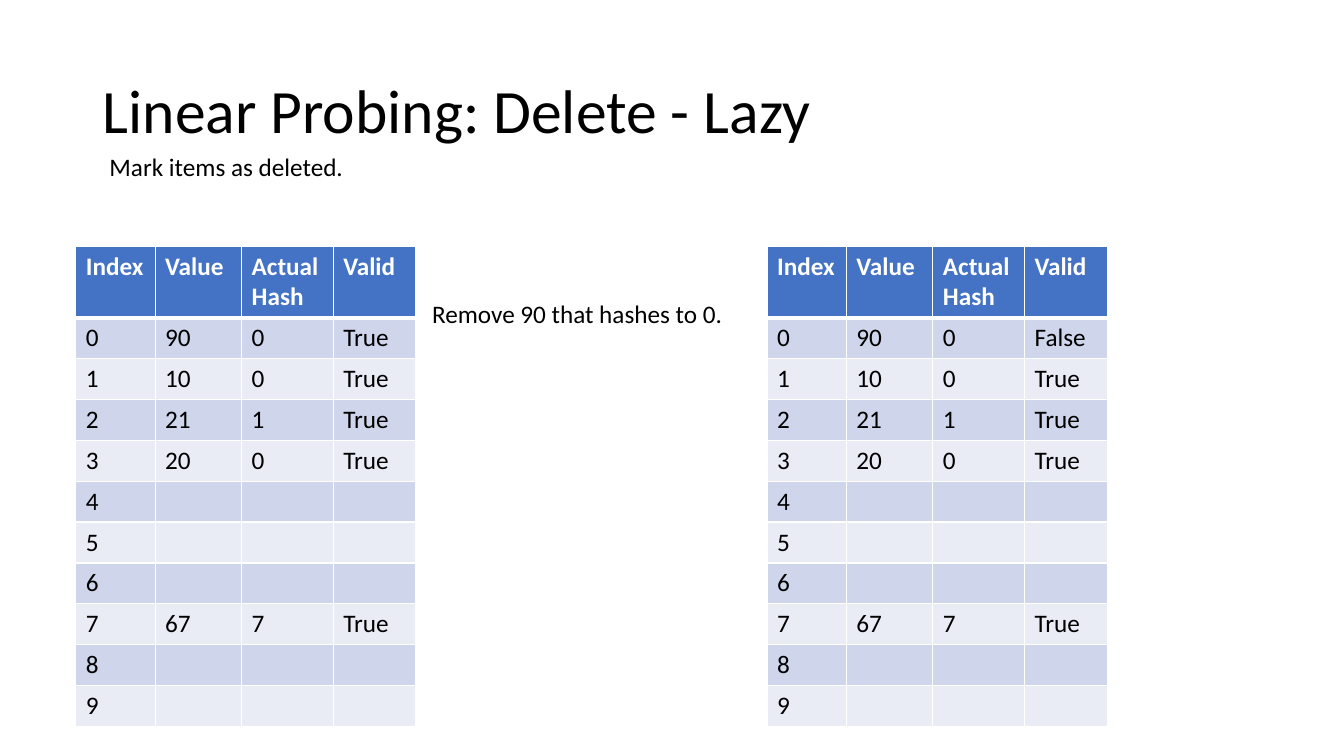
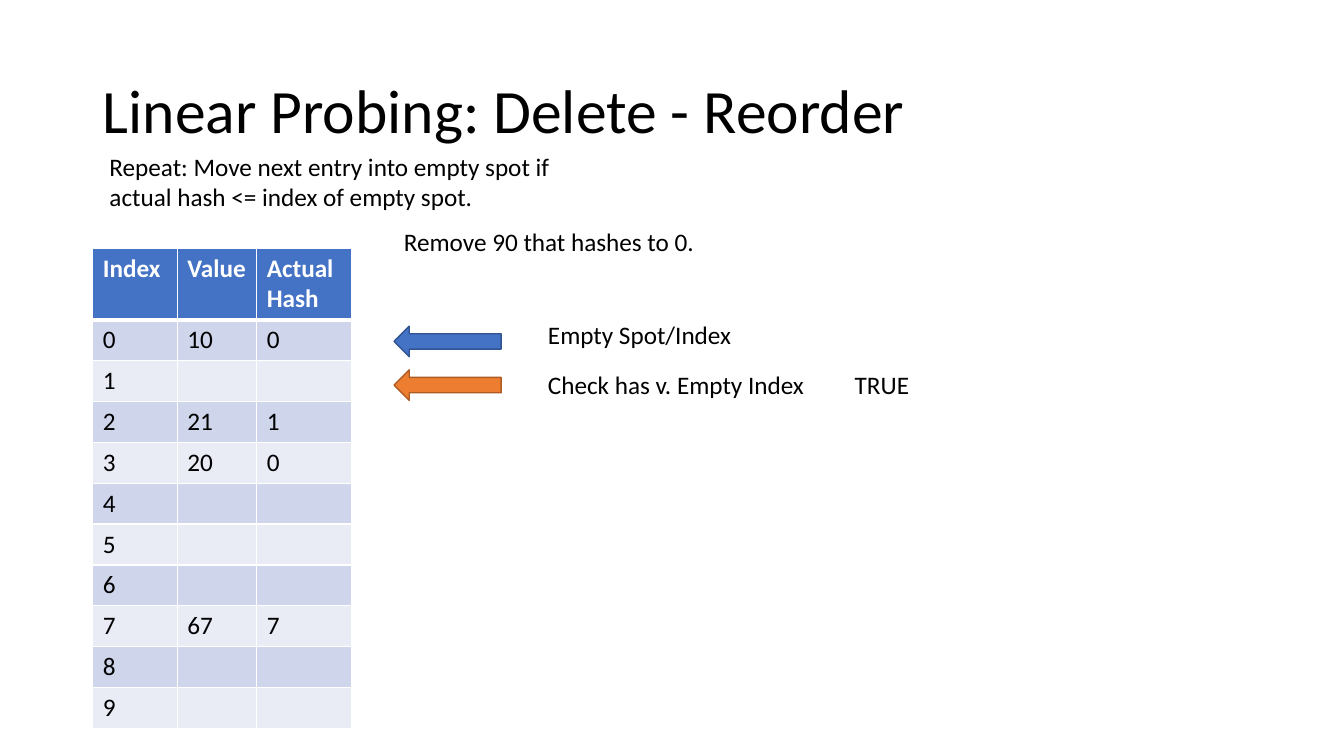
"""Build two slides on deleting from a hash table with linear probing."""
from lxml import etree
from pptx import Presentation
from pptx.dml.color import RGBColor
from pptx.enum import shapes, text
from pptx.oxml import ns
from pptx.util import Cm, Pt

BLACK = RGBColor(0x00, 0x00, 0x00)
WHITE = RGBColor(0xFF, 0xFF, 0xFF)
BLUE = RGBColor(0x44, 0x72, 0xC4)
BLUE_EDGE = RGBColor(0x32, 0x54, 0x91)
ORANGE = RGBColor(0xED, 0x7D, 0x31)
ORANGE_EDGE = RGBColor(0xAF, 0x5C, 0x24)
BANDS = (RGBColor(0xCF, 0xD5, 0xEA), RGBColor(0xE9, 0xEB, 0xF5))
FONT = "Calibri"
BODY_SIZE = 18
TITLE_SIZE = 44
BUCKETS = 10
HEADER_HEIGHT, ROW_HEIGHT = 1.78, 1.02
ARROW_SIZE = (2.7, 0.77)

HEADINGS = ("Index", "Value", "Actual Hash", "Valid")
BEFORE = {
    0: ("90", "0", "True"),
    1: ("10", "0", "True"),
    2: ("21", "1", "True"),
    3: ("20", "0", "True"),
    7: ("67", "7", "True"),
}
MARKED = {**BEFORE, 0: ("90", "0", "False")}
REORDERED = {0: ("10", "0"), 2: ("21", "1"), 3: ("20", "0"), 7: ("67", "7")}

LAZY_WIDTHS = (2.0, 2.18, 2.31, 2.08)
REORDER_WIDTHS = (2.13, 2.0, 2.39)
REMOVAL = "Remove 90 that hashes to 0."

SLIDES = [
    {
        "title": "Linear Probing: Delete - Lazy",
        "notes": [
            ("Mark items as deleted.", 2.51, 3.68, 19.08),
            (REMOVAL, 10.64, 7.39, 8.2),
        ],
        "tables": [
            (BEFORE, LAZY_WIDTHS, 1.91, 6.2),
            (MARKED, LAZY_WIDTHS, 19.33, 6.2),
        ],
        "arrows": [],
    },
    {
        "title": "Linear Probing: Delete - Reorder",
        "notes": [
            ("Repeat: Move next entry into empty spot if actual hash <= index of empty spot.",
             2.51, 3.68, 11.73),
            (REMOVAL, 9.93, 5.59, 8.2),
            ("Empty Spot/Index", 13.56, 7.93, 5.8),
            ("Check has v. Empty Index", 13.56, 9.18, 7.6),
            ("TRUE", 21.29, 9.18, 2.2),
        ],
        "tables": [(REORDERED, REORDER_WIDTHS, 2.34, 6.25)],
        "arrows": [
            (BLUE, BLUE_EDGE, 9.93, 8.22),
            (ORANGE, ORANGE_EDGE, 9.93, 9.32),
        ],
    },
]


def write(frame, words, size=BODY_SIZE, color=BLACK, bold=False):
    paragraph = frame.paragraphs[0]
    paragraph.alignment = text.PP_ALIGN.LEFT
    run = paragraph.add_run()
    run.text = words
    run.font.name = FONT
    run.font.size = Pt(size)
    run.font.bold = bold
    run.font.color.rgb = color
    return paragraph


def add_title(slide, words):
    title = slide.shapes.title
    title.left, title.top, title.width, title.height = Cm(2.34), Cm(1.01), Cm(29.21), Cm(3.68)
    title.text_frame.vertical_anchor = text.MSO_ANCHOR.MIDDLE
    write(title.text_frame, words, TITLE_SIZE).line_spacing = 0.9


def add_note(slide, words, left, top, width):
    note = slide.shapes.add_textbox(Cm(left), Cm(top), Cm(width), Cm(ROW_HEIGHT))
    note.text_frame.word_wrap = True
    note.text_frame.auto_size = text.MSO_AUTO_SIZE.SHAPE_TO_FIT_TEXT
    write(note.text_frame, words)


def set_borders(cell, row):
    properties = cell._tc.get_or_add_tcPr()
    thick_side = {0: "B", 1: "T"}.get(row)
    for side in "LRTB":
        points = 3 if side == thick_side else 1
        line = etree.SubElement(properties, ns.qn(f"a:ln{side}"), w=str(Pt(points)))
        fill = etree.SubElement(line, ns.qn("a:solidFill"))
        etree.SubElement(fill, ns.qn("a:srgbClr"), val=str(WHITE))


def add_hash_table(slide, entries, widths, left, top):
    columns = len(widths)
    rows = [HEADINGS[:columns]]
    for index in range(BUCKETS):
        rows.append((str(index), *entries.get(index, ("",) * (columns - 1))))
    heights = [HEADER_HEIGHT] + [ROW_HEIGHT] * BUCKETS
    table = slide.shapes.add_table(
        len(rows), columns, Cm(left), Cm(top), Cm(sum(widths)), Cm(sum(heights))).table
    for column, width in zip(table.columns, widths):
        column.width = Cm(width)
    for r, (values, height) in enumerate(zip(rows, heights)):
        table.rows[r].height = Cm(height)
        header = r == 0
        for c, value in enumerate(values):
            cell = table.cell(r, c)
            set_borders(cell, r)
            cell.fill.solid()
            cell.fill.fore_color.rgb = BLUE if header else BANDS[(r - 1) % 2]
            if value:
                write(cell.text_frame, value, color=WHITE if header else BLACK, bold=header)


def add_arrow(slide, color, edge, left, top):
    width, height = ARROW_SIZE
    arrow = slide.shapes.add_shape(
        shapes.MSO_SHAPE.LEFT_ARROW, Cm(left), Cm(top), Cm(width), Cm(height))
    arrow.shadow.inherit = False
    arrow.fill.solid()
    arrow.fill.fore_color.rgb = color
    arrow.line.color.rgb = edge
    arrow.line.width = Pt(1)


def main():
    deck = Presentation()
    deck.slide_width, deck.slide_height = Cm(33.87), Cm(19.05)
    title_only = deck.slide_layouts[5]
    for content in SLIDES:
        slide = deck.slides.add_slide(title_only)
        add_title(slide, content["title"])
        for table in content["tables"]:
            add_hash_table(slide, *table)
        for arrow in content["arrows"]:
            add_arrow(slide, *arrow)
        for note in content["notes"]:
            add_note(slide, *note)
    deck.save("out.pptx")


if __name__ == "__main__":
    main()
